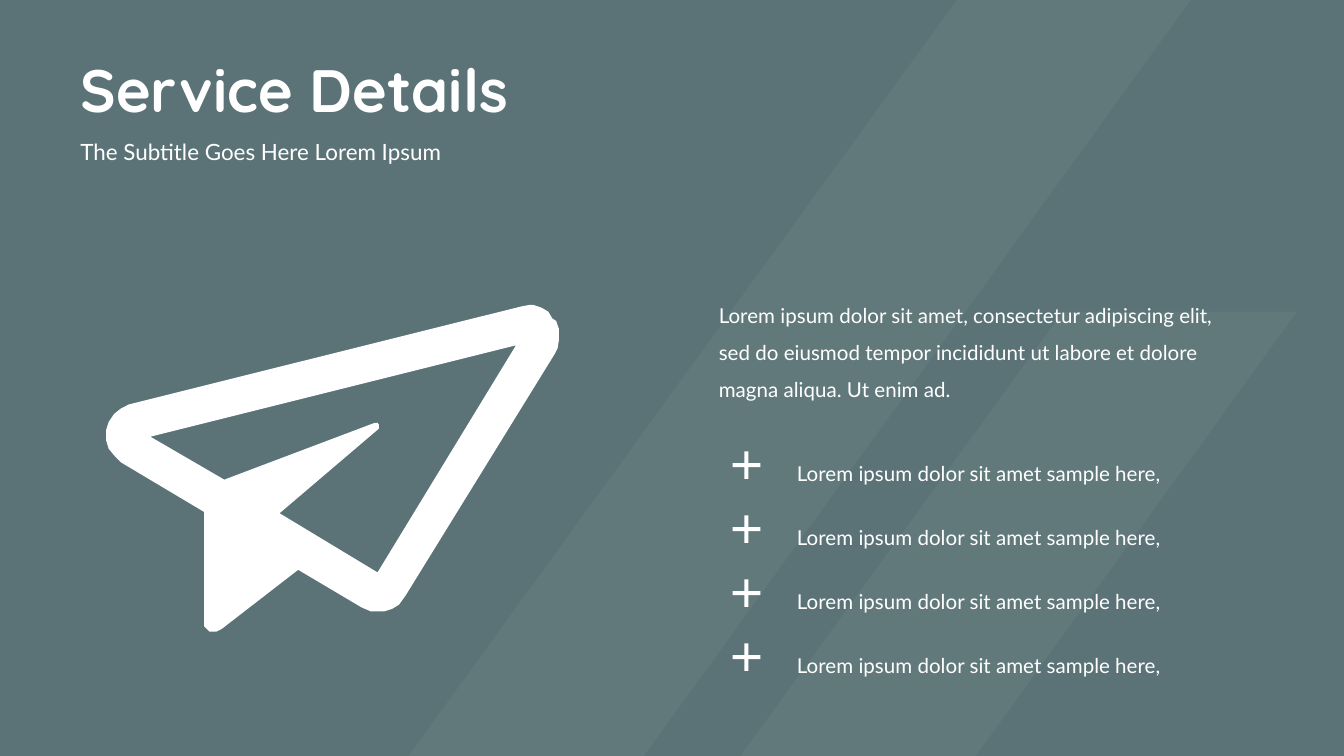
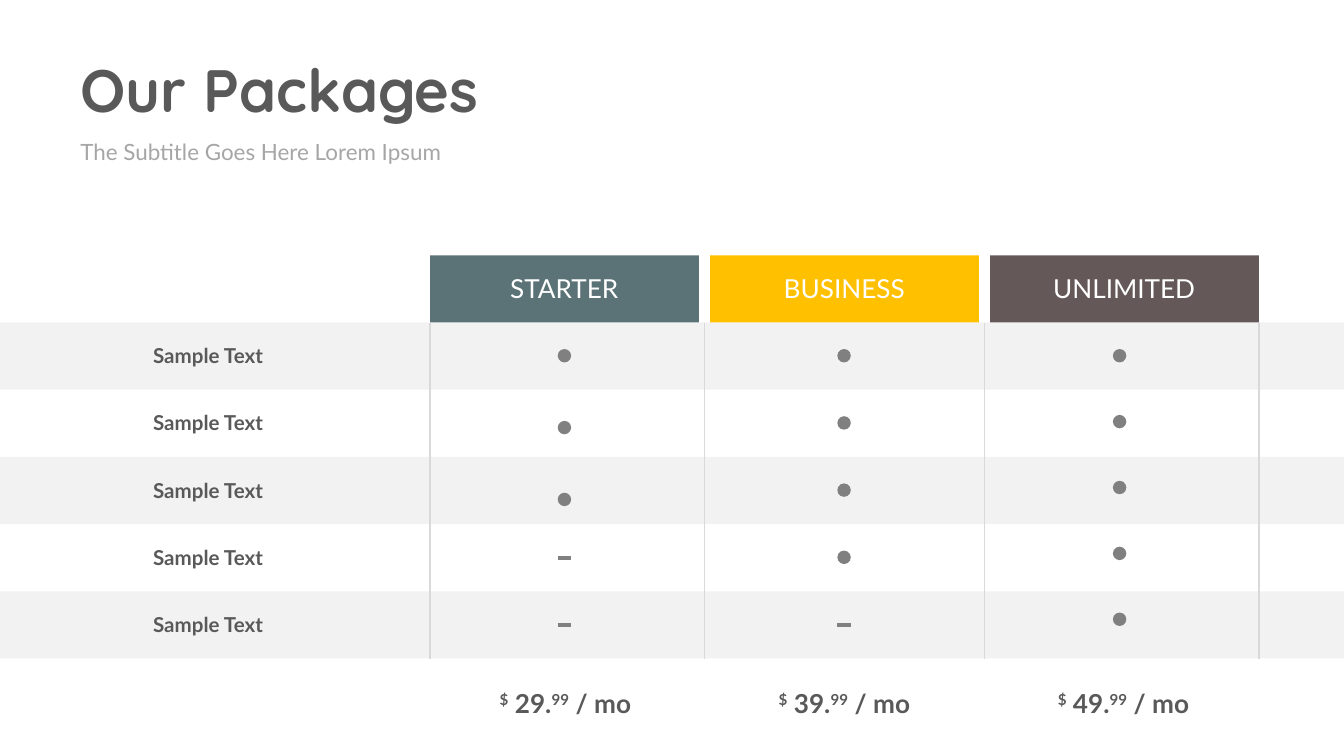
import pptx
import pptx.dml.color
import pptx.enum.dml
import pptx.enum.shapes
import pptx.enum.text
import pptx.oxml
import pptx.oxml.ns
import pptx.util

Pt = pptx.util.Pt
SHAPES = pptx.enum.shapes.MSO_SHAPE
ALIGN = pptx.enum.text.PP_ALIGN

COLORS = {
    "slate": "5B7377", "amber": "FFC000", "umber": "645858", "stripe": "EAEFDF",
    "white": "FFFFFF", "ink": "595959", "subtitle": "A6A6A6",
    "band": "F2F2F2", "divider": "D9D9D9", "mark": "808080",
}
HEADING_FONT, BODY_FONT = "Quicksand", "Lato"
WIDTH, HEIGHT = 720, 405

SUBTITLE = "The Subtitle Goes Here Lorem Ipsum"
SERVICE_TEXT = ("Lorem ipsum dolor sit amet, consectetur adipiscing elit, sed do eiusmod "
                "tempor incididunt ut labore et dolore magna aliqua. Ut enim ad.")
SERVICES = ["Lorem ipsum dolor sit amet sample here,"] * 4
FEATURES = ["Sample Text"] * 5
PACKAGES = [
    {"name": "STARTER", "color": "slate", "price": "29", "included": 3, "mark_left": 298.8, "step": 38.5},
    {"name": "BUSINESS", "color": "amber", "price": "39", "included": 4, "mark_left": 448.6, "step": 36},
    {"name": "UNLIMITED", "color": "umber", "price": "49", "included": 5, "mark_left": 596.2, "step": 35.3},
]

STRIPES = [
    [(569.5, 167), (694.8, 167), (522.7, 405), (396.7, 405)],
    [(512.6, 0), (637.9, 0), (344.9, 405), (218.9, 405)],
]
PLANE = [
    [(276.5, 185), (80.6, 234), (120.2, 257), (200.2, 226.8), (202.3, 226.5), (203, 227.5),
     (203, 229.7), (149.8, 275), (202.3, 306.7)],
    [(283.7, 163.4), (285.8, 163.4), (290.2, 164.9), (293.8, 167), (295.9, 170.6), (298, 172),
     (299.5, 176.4), (299.5, 182), (298.8, 186.5), (297.4, 189.4), (217.4, 319), (213.8, 324),
     (210.2, 326.2), (205.9, 327.6), (198.7, 327.6), (193.7, 325.4), (159.8, 305.3), (118.8, 337),
     (116, 338.4), (112.3, 338.4), (109.4, 335.5), (109.4, 274.3), (64.8, 247.7), (61.2, 244),
     (58.3, 240.5), (56.9, 236), (56.9, 230.4), (58.3, 226), (61.2, 221.8), (64.8, 218.9),
     (69.1, 216.7), (279.4, 164.2)],
]


def rgb(name):
    return pptx.dml.color.RGBColor.from_string(COLORS[name])


def paint(shape, color):
    shape.shadow.inherit = False
    shape.fill.solid()
    shape.fill.fore_color.rgb = rgb(color)
    shape.line.fill.background()
    return shape


def add_block(slide, kind, left, top, width, height, color):
    return paint(slide.shapes.add_shape(kind, Pt(left), Pt(top), Pt(width), Pt(height)), color)


def add_outline(slide, contours, color):
    points = [[(Pt(x), Pt(y)) for x, y in contour] for contour in contours]
    builder = slide.shapes.build_freeform(*points[0][0], scale=1.0)
    builder.add_line_segments(points[0][1:], close=True)
    for contour in points[1:]:
        builder.move_to(*contour[0])
        builder.add_line_segments(contour[1:], close=True)
    return paint(builder.convert_to_shape(), color)


def add_plus(slide, left, top, size=14.8, bar=2.2):
    near, far = (size - bar) / 2, (size + bar) / 2
    corners = [(near, 0), (far, 0), (far, near), (size, near), (size, far), (far, far),
               (far, size), (near, size), (near, far), (0, far), (0, near), (near, near)]
    add_outline(slide, [[(left + x, top + y) for x, y in corners]], "white")


def add_line(slide, start, end, color, width):
    line = slide.shapes.add_connector(pptx.enum.shapes.MSO_CONNECTOR.STRAIGHT,
                                      *(Pt(value) for value in start + end))
    line.line.color.rgb = rgb(color)
    line.line.width = Pt(width)
    line._element.spPr.append(pptx.oxml.parse_xml(
        "<a:effectLst %s/>" % pptx.oxml.ns.nsdecls("a")))


def add_text(slide, box, runs, size, color, font=BODY_FONT, bold=False,
             align=ALIGN.LEFT, spacing=None):
    shape = slide.shapes.add_textbox(*(Pt(value) for value in box))
    frame = shape.text_frame
    frame.word_wrap = True
    frame.auto_size = pptx.enum.text.MSO_AUTO_SIZE.SHAPE_TO_FIT_TEXT
    paragraph = frame.paragraphs[0]
    paragraph.alignment = align
    if spacing:
        paragraph.line_spacing = spacing
    for text, raised in runs:
        run = paragraph.add_run()
        run.text = text
        run.font.name = font
        run.font.size = Pt(size)
        run.font.bold = bold
        run.font.color.rgb = rgb(color)
        if raised:
            run._r.get_or_add_rPr().set("baseline", "30000")


def add_page(presentation, title, background, title_color, subtitle_color):
    slide = presentation.slides.add_slide(presentation.slide_layouts[6])
    slide.background.fill.solid()
    slide.background.fill.fore_color.rgb = rgb(background)
    if background == "slate":
        stripes = add_outline(slide, STRIPES, "stripe")
        color = stripes._element.spPr.find(".//" + pptx.oxml.ns.qn("a:srgbClr"))
        color.append(pptx.oxml.parse_xml(
            '<a:alpha %s val="5000"/>' % pptx.oxml.ns.nsdecls("a")))
    add_text(slide, (36, 24.5, 450, 46), [(title, False)], 32, title_color, HEADING_FONT, True)
    add_text(slide, (36, 70.5, 342, 21.8), [(SUBTITLE, False)], 12, subtitle_color)
    return slide


def build_service(presentation):
    slide = add_page(presentation, "Service Details", "slate", "white", "white")
    add_outline(slide, PLANE, "white")
    add_text(slide, (378, 152, 294, 65), [(SERVICE_TEXT, False)], 11, "white", spacing=1.5)
    for index, service in enumerate(SERVICES):
        offset = index * 34.3
        add_plus(slide, 392.5, 241.8 + offset)
        add_text(slide, (419.8, 236.6 + offset, 248, 24.5), [(service, False)], 11, "white", spacing=1.5)


def build_packages(presentation):
    slide = add_page(presentation, "Our Packages", "white", "ink", "subtitle")
    left, pitch, card, table_top, row = 230.4, 150, 144, 172.8, 36
    bottom = table_top + row * len(FEATURES)
    mark = 7.2

    for index, feature in enumerate(FEATURES):
        top = table_top + index * row
        if index % 2 == 0:
            add_block(slide, SHAPES.RECTANGLE, 0, top, WIDTH, row, "band")
        add_text(slide, (66.2, top + 7.5, 90.7, 20.9), [(feature, False)], 11, "ink",
                 bold=True, align=ALIGN.CENTER)

    gap = pitch - card
    inner = [left + index * pitch - gap / 2 for index in range(1, len(PACKAGES))]
    right = left + (len(PACKAGES) - 1) * pitch + card
    for x in [left, *inner, right]:
        add_line(slide, (x, table_top), (x, bottom), "divider", 0.75)

    for column, package in enumerate(PACKAGES):
        x = left + column * pitch
        add_block(slide, SHAPES.RECTANGLE, x, table_top - row, card, row, package["color"])
        add_text(slide, (x + 8.9, 142.3, 126, 24.5), [(package["name"], False)], 14, "white",
                 align=ALIGN.CENTER)
        mark_left = package["mark_left"]
        for index in range(len(FEATURES)):
            if index < package["included"]:
                add_block(slide, SHAPES.OVAL, mark_left, 187 + index * package["step"],
                          mark, mark, "mark")
            else:
                y = table_top + (index + 0.5) * row
                add_line(slide, (mark_left, y), (mark_left + mark, y), "mark", 2.25)
        price = [("$", True), (" %s." % package["price"], False), ("99", True), (" / mo", False)]
        add_text(slide, (246 + column * 149.5, 364.8, 113.8, 24.5), price, 14, "ink",
                 bold=True, align=ALIGN.CENTER)


def main():
    presentation = pptx.Presentation()
    presentation.slide_width = Pt(WIDTH)
    presentation.slide_height = Pt(HEIGHT)
    build_service(presentation)
    build_packages(presentation)
    presentation.save("out.pptx")


if __name__ == "__main__":
    main()
